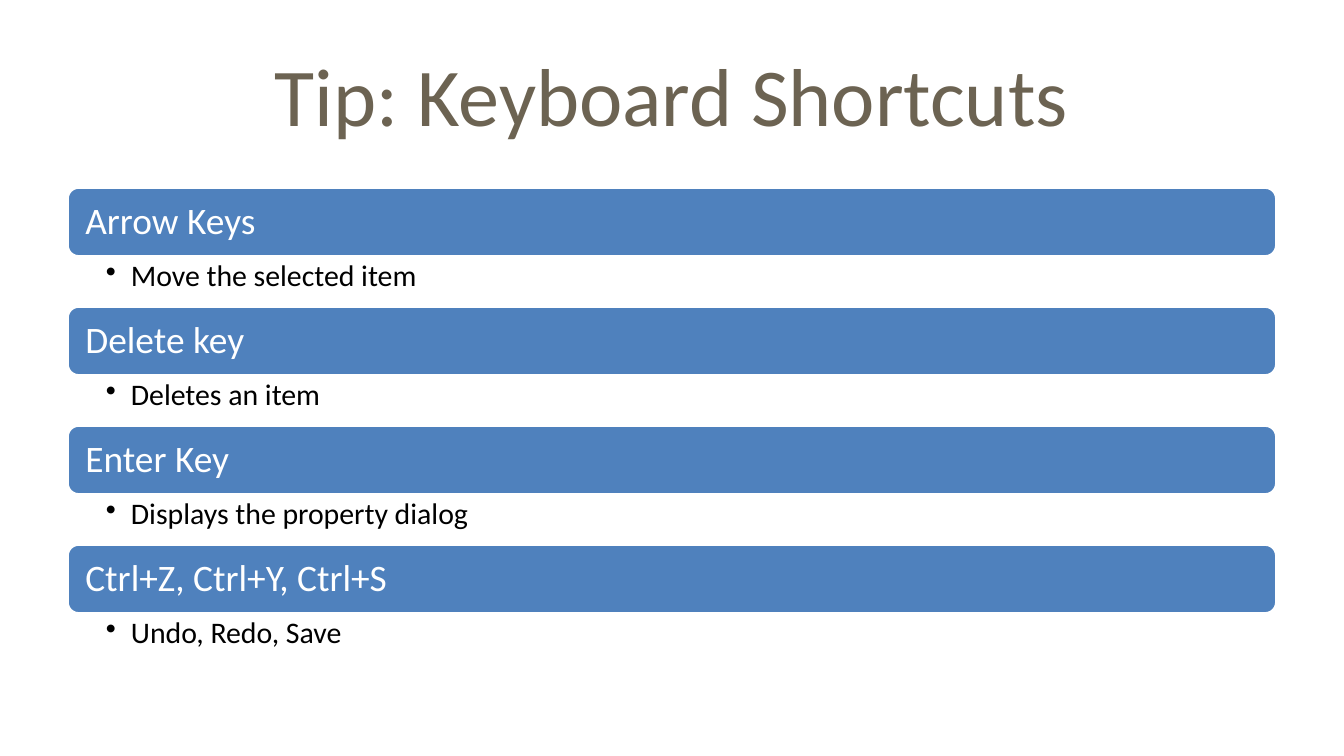
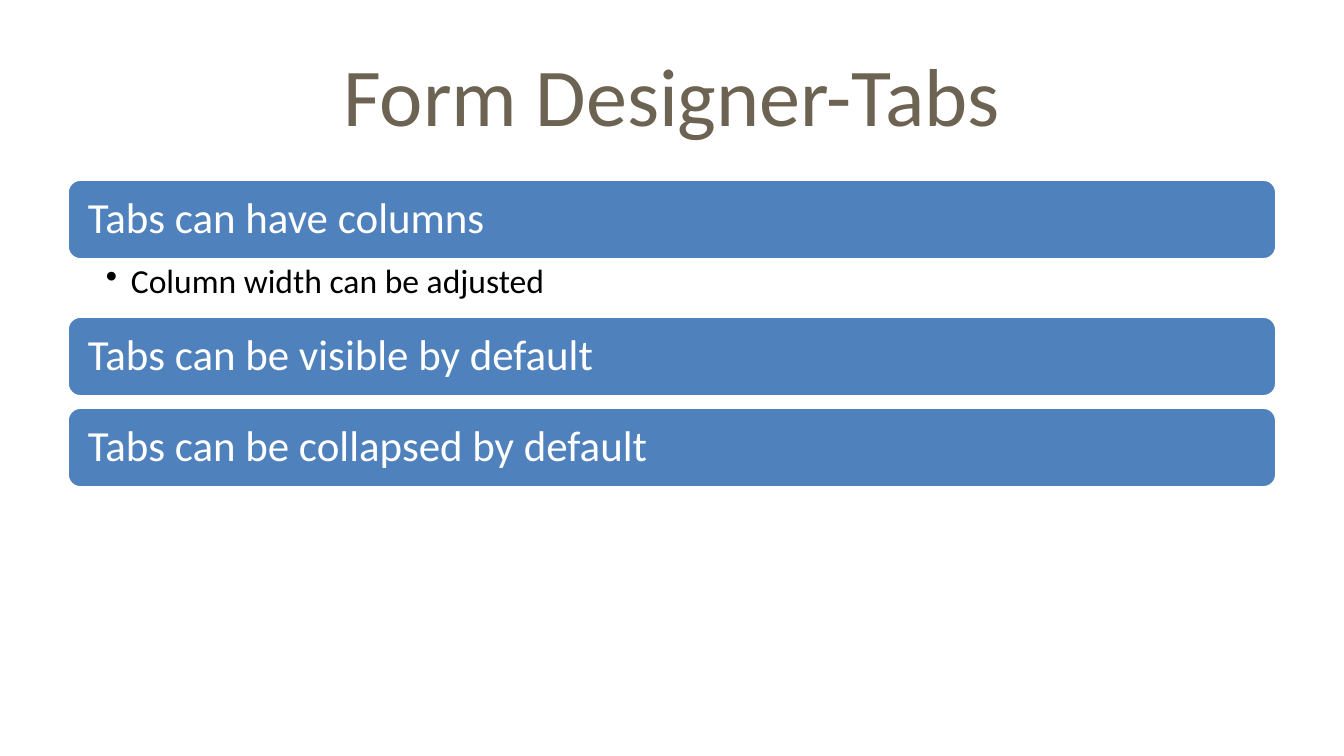
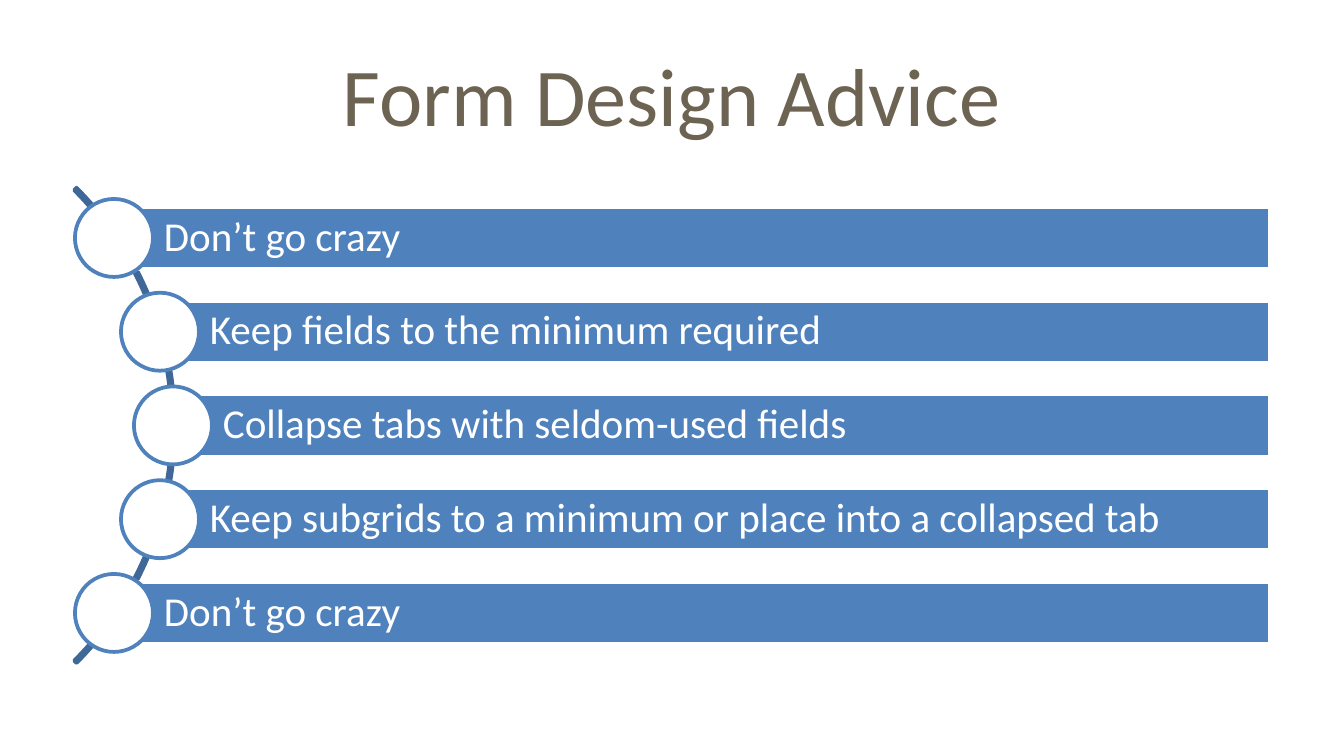
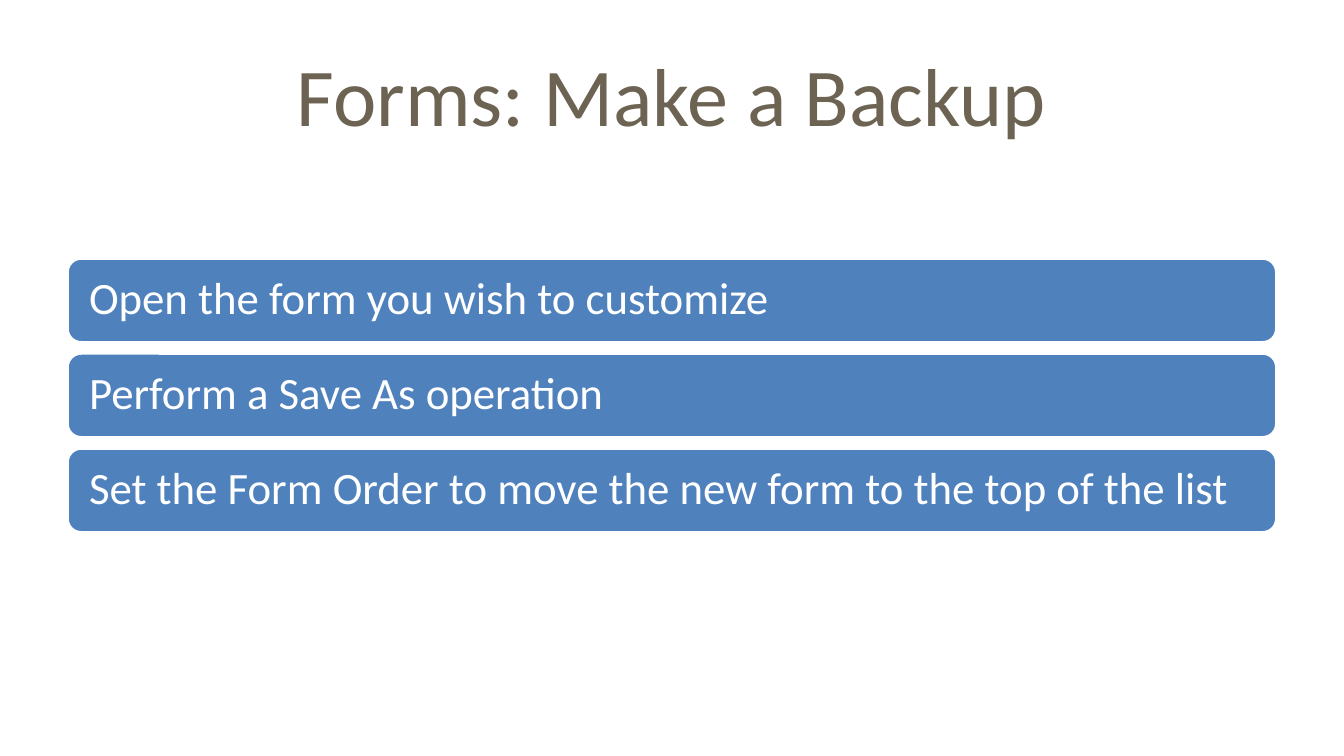
import collections

import lxml.etree
import pptx
import pptx.dml.color
import pptx.enum.shapes
import pptx.enum.text
import pptx.oxml.ns
import pptx.util

EMU_PER_PX = 914400 / 134.4
FONT = "Calibri"
TITLE_BROWN = pptx.dml.color.RGBColor(0x6C, 0x63, 0x52)
BAR_BLUE = pptx.dml.color.RGBColor(0x4F, 0x81, 0xBD)
ARC_BLUE = pptx.dml.color.RGBColor(0x3F, 0x67, 0x97)
WHITE = pptx.dml.color.RGBColor(0xFF, 0xFF, 0xFF)
BLACK = pptx.dml.color.RGBColor(0x00, 0x00, 0x00)

SHAPE = pptx.enum.shapes.MSO_SHAPE
ALIGN = pptx.enum.text.PP_ALIGN
ANCHOR = pptx.enum.text.MSO_ANCHOR

Box = collections.namedtuple("Box", "left top width height")
BarStyle = collections.namedtuple("BarStyle", "size detail_size height detail_height")

SLIDE_WIDTH, SLIDE_HEIGHT = 1344, 756
TITLE_BOX = Box(67, 31, 1210, 126)
BAR_GAP = 10
DETAIL_INDENT = 25


def px(length):
    return pptx.util.Emu(round(length * EMU_PER_PX))


def emu_box(box):
    return [px(length) for length in box]


def add_bullet(paragraph):
    properties = paragraph._p.get_or_add_pPr()
    properties.set("marL", str(px(DETAIL_INDENT)))
    properties.set("indent", str(-px(DETAIL_INDENT)))
    bullet = lxml.etree.SubElement(properties, pptx.oxml.ns.qn("a:buChar"))
    bullet.set("char", "•")


def write_text(holder, text, *, size, color, insets, align=ALIGN.LEFT,
               anchor=ANCHOR.MIDDLE, line_spacing=None, bullet=False):
    """Fill a shape or text box; insets are left, top, right, bottom in px."""
    frame = holder.text_frame
    frame.word_wrap = True
    frame.vertical_anchor = anchor
    (frame.margin_left, frame.margin_top,
     frame.margin_right, frame.margin_bottom) = emu_box(insets)
    paragraph = frame.paragraphs[0]
    paragraph.alignment = align
    paragraph.line_spacing = line_spacing
    if bullet:
        add_bullet(paragraph)
    run = paragraph.add_run()
    run.text = text
    run.font.name = FONT
    run.font.size = pptx.util.Pt(size)
    run.font.color.rgb = color


def add_outlined(slide, kind, box, fill, line):
    """Add a preset shape with a 2 pt outline; a fill of None leaves it open."""
    shape = slide.shapes.add_shape(kind, *emu_box(box))
    shape.shadow.inherit = False
    if fill is None:
        shape.fill.background()
    else:
        shape.fill.solid()
        shape.fill.fore_color.rgb = fill
    shape.line.color.rgb = line
    shape.line.width = pptx.util.Pt(2)
    return shape


def add_titled_slide(deck, title):
    slide = deck.slides.add_slide(deck.slide_layouts[6])
    holder = slide.shapes.add_textbox(*emu_box(TITLE_BOX))
    write_text(holder, title, size=44, color=TITLE_BROWN,
               insets=(13, 7, 13, 7), align=ALIGN.CENTER)
    return slide


def add_bar_list(slide, left, top, width, style, entries):
    """Stack rounded bars; each entry is a heading and a detail line or None."""
    inset = round(style.size * 0.75)
    for heading, detail in entries:
        bar = add_outlined(slide, SHAPE.ROUNDED_RECTANGLE,
                           Box(left, top, width, style.height), BAR_BLUE, WHITE)
        write_text(bar, heading, size=style.size, color=WHITE,
                   insets=(inset,) * 4, line_spacing=0.9)
        top += style.height
        if detail is None:
            top += BAR_GAP
            continue
        holder = slide.shapes.add_textbox(
            *emu_box(Box(left, top, width, style.detail_height)))
        write_text(holder, detail, size=style.detail_size, color=BLACK,
                   insets=(39, 4, 22, 4), anchor=ANCHOR.TOP,
                   line_spacing=0.9, bullet=True)
        top += style.detail_height


def add_arc_list(slide, box, advice):
    """Hang bars with round markers on an arc; box spans the marker centres."""
    arc_size, bar_height, marker_size = 672, 62, 78
    marker_shifts = (0, 46, 59, 46, 0)
    middle = box.top + box.height / 2

    arc = add_outlined(slide, SHAPE.BLOCK_ARC,
                       Box(box.left + 61 - arc_size, middle - arc_size / 2,
                           arc_size, arc_size), None, ARC_BLUE)
    arc.adjustments[0] = 189
    arc.adjustments[1] = 27
    arc.adjustments[2] = 0.005

    pitch = box.height / (len(advice) - 1)
    for row, (text, shift) in enumerate(zip(advice, marker_shifts)):
        center_x = box.left + shift
        center_y = box.top + row * pitch
        bar = add_outlined(slide, SHAPE.RECTANGLE,
                           Box(center_x, center_y - bar_height / 2,
                               box.width - shift, bar_height), BAR_BLUE, WHITE)
        write_text(bar, text, size=22, color=WHITE, insets=(50, 8, 8, 8),
                   line_spacing=0.9)
        add_outlined(slide, SHAPE.OVAL,
                     Box(center_x - marker_size / 2, center_y - marker_size / 2,
                         marker_size, marker_size), WHITE, BAR_BLUE)


def main():
    deck = pptx.Presentation()
    deck.slide_width, deck.slide_height = px(SLIDE_WIDTH), px(SLIDE_HEIGHT)

    shortcuts = add_titled_slide(deck, "Tip: Keyboard Shortcuts")
    add_bar_list(shortcuts, 67, 187, 1210, BarStyle(20, 16, 70, 49), [
        ("Arrow Keys", "Move the selected item"),
        ("Delete key", "Deletes an item"),
        ("Enter Key", "Displays the property dialog"),
        ("Ctrl+Z, Ctrl+Y, Ctrl+S", "Undo, Redo, Save"),
    ])

    tabs = add_titled_slide(deck, "Form Designer-Tabs")
    add_bar_list(tabs, 67, 179, 1210, BarStyle(23, 18, 81, 56), [
        ("Tabs can have columns", "Column width can be adjusted"),
        ("Tabs can be visible by default", None),
        ("Tabs can be collapsed by default", None),
    ])

    design = add_titled_slide(deck, "Form Design Advice")
    add_arc_list(design, Box(114, 238, 1156, 375), [
        "Don’t go crazy",
        "Keep fields to the minimum required",
        "Collapse tabs with seldom-used fields",
        "Keep subgrids to a minimum or place into a collapsed tab",
        "Don’t go crazy",
    ])

    backup = add_titled_slide(deck, "Forms: Make a Backup")
    add_bar_list(backup, 67, 258, 1210, BarStyle(24, 18, 85, 56), [
        ("Open the form you wish to customize", None),
        ("Perform a Save As operation", None),
        ("Set the Form Order to move the new form to the top of the list", None),
    ])

    deck.save("out.pptx")


if __name__ == "__main__":
    main()
